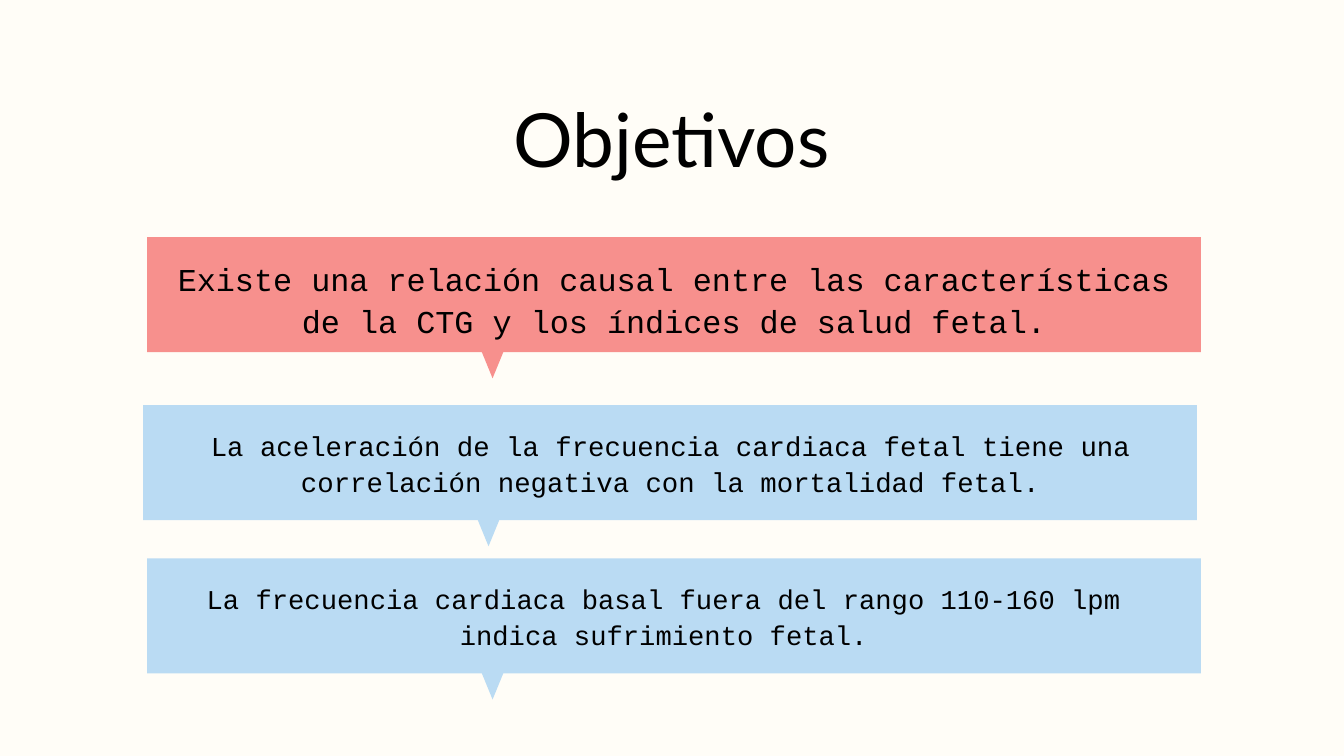
from dataclasses import dataclass

from pptx import Presentation
from pptx.dml.color import RGBColor
from pptx.enum.text import MSO_ANCHOR, MSO_AUTO_SIZE, PP_ALIGN
from pptx.util import Inches, Pt

BODY_WIDTH, BODY_HEIGHT = 15.68, 1.71
TAIL_LEFT, TAIL_WIDTH, TAIL_HEIGHT = 4.98, 0.32, 0.39
TEXT_INSET = 0.28


@dataclass
class Callout:
    left: float
    top: float
    fill: str
    text: str
    text_top: float
    text_width: float
    text_height: float
    size: float
    spacing: float


CALLOUTS = [
    Callout(2.19, 3.53, "F7908D",
            "Existe una relación causal entre las características "
            "de la CTG y los índices de salud fetal.",
            3.82, 15.12, 1.28, 34.1, 44.3),
    Callout(2.13, 6.03, "BADBF3",
            "La aceleración de la frecuencia cardiaca fetal tiene una "
            "correlación negativa con la mortalidad fetal.",
            6.35, 15.12, 1.09, 29.3, 38.1),
    Callout(2.19, 8.31, "BADBF3",
            "La frecuencia cardiaca basal fuera del rango 110-160 lpm "
            "indica sufrimiento fetal.",
            8.63, 14.82, 1.09, 29.1, 37.9),
]


def color(value: str) -> RGBColor:
    return RGBColor.from_string(value)


def write_text(box, text: str, font: str, size: float, spacing: float) -> None:
    frame = box.text_frame
    frame.word_wrap = True
    frame.auto_size = MSO_AUTO_SIZE.NONE
    frame.vertical_anchor = MSO_ANCHOR.TOP
    frame.margin_left = frame.margin_right = 0
    frame.margin_top = frame.margin_bottom = 0
    para = frame.paragraphs[0]
    para.alignment = PP_ALIGN.CENTER
    para.line_spacing = Pt(spacing)
    para.space_before = Pt(0)
    span = para.add_run()
    span.text = text
    span.font.name = font
    span.font.size = Pt(size)
    span.font.color.rgb = color("000000")


def add_title(page) -> None:
    title = page.shapes.title
    title.left, title.top = Inches(2.01), Inches(1.12)
    title.width, title.height = Inches(15.97), Inches(1.59)
    write_text(title, "Objetivos", "Lato", 80, 115.2)


def add_callout(page, callout: Callout) -> None:
    """Draw a rectangle with a tail below it, then its text."""
    left, top = callout.left, callout.top
    right, bottom = left + BODY_WIDTH, top + BODY_HEIGHT
    tail = left + TAIL_LEFT
    corners = [
        (left, bottom),
        (tail, bottom),
        (tail + TAIL_WIDTH / 2, bottom + TAIL_HEIGHT),
        (tail + TAIL_WIDTH, bottom),
        (right, bottom),
        (right, top),
    ]
    builder = page.shapes.build_freeform(Inches(left), Inches(top))
    builder.add_line_segments([(Inches(x), Inches(y)) for x, y in corners])
    bubble = builder.convert_to_shape()
    bubble.shadow.inherit = False
    bubble.fill.solid()
    bubble.fill.fore_color.rgb = color(callout.fill)
    bubble.line.fill.background()

    box = page.shapes.add_textbox(
        Inches(left + TEXT_INSET), Inches(callout.text_top),
        Inches(callout.text_width), Inches(callout.text_height))
    write_text(box, callout.text, "Courier New", callout.size, callout.spacing)


def main() -> None:
    deck = Presentation()
    deck.slide_width, deck.slide_height = Inches(20), Inches(11.25)
    page = deck.slides.add_slide(deck.slide_layouts[5])
    page.background.fill.solid()
    page.background.fill.fore_color.rgb = color("FFFDF7")
    add_title(page)
    for callout in CALLOUTS:
        add_callout(page, callout)
    deck.save("out.pptx")


if __name__ == "__main__":
    main()
